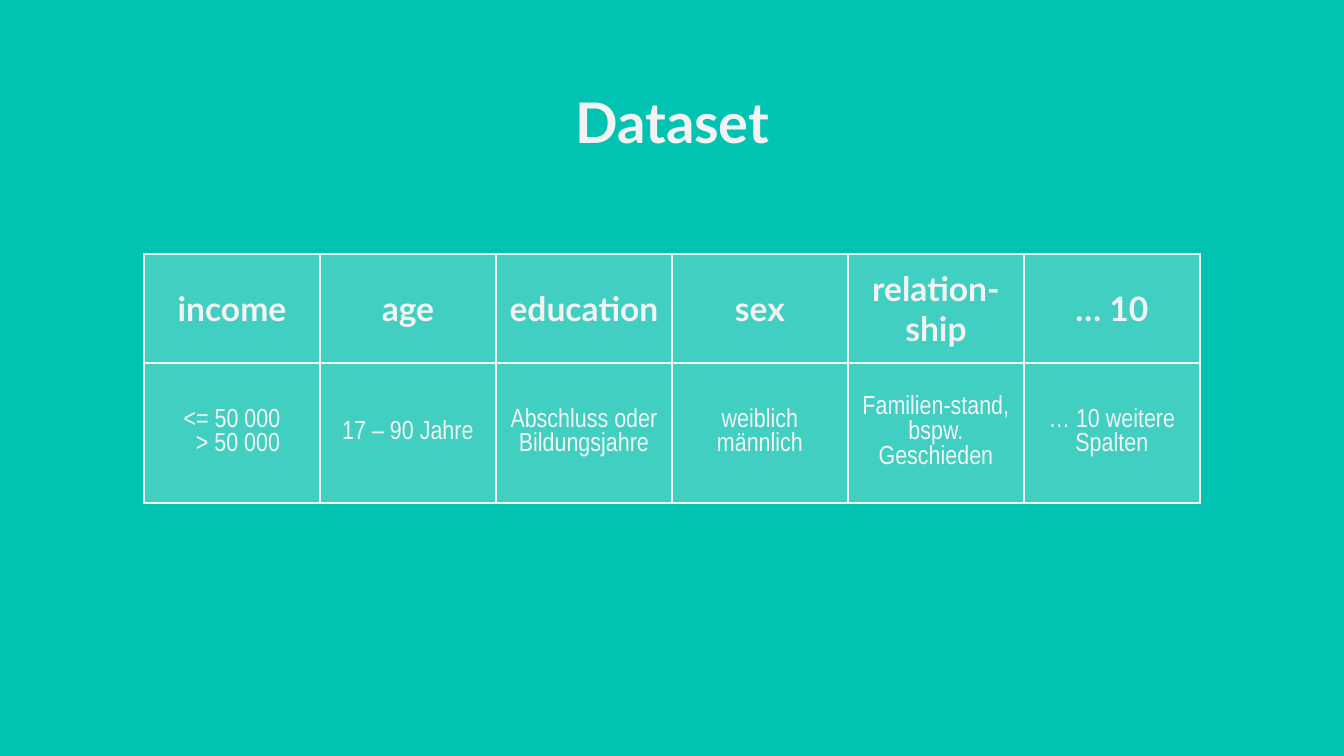
from lxml import etree
from pptx import Presentation
from pptx.dml.color import RGBColor
from pptx.enum.text import MSO_ANCHOR, PP_ALIGN
from pptx.oxml.ns import qn
from pptx.util import Inches, Pt

CENTER = PP_ALIGN.CENTER
TOP, MIDDLE = MSO_ANCHOR.TOP, MSO_ANCHOR.MIDDLE
SCALE = Inches(10) / 1344
THEME = {
    "bg": "00C3B1", "ink": "F3F3F3", "cell_alpha": 27, "border_pt": 1.5,
    "title": ("Lato", 30, True),
    "head": ("Lato", 18, True),
    "body": ("Arial Narrow", 14, False),
}
INK = RGBColor.from_string(THEME["ink"])
INSET = 13
INDENT = 12


def px(n):
    return round(n * SCALE)


def write(tf, lines, style):
    font, size, bold = THEME[style]
    for i, line in enumerate(lines):
        p = tf.paragraphs[0] if i == 0 else tf.add_paragraph()
        p.alignment = CENTER
        r = p.add_run()
        r.text = line
        r.font.name, r.font.size, r.font.bold = font, Pt(size), bold
        r.font.color.rgb = INK


prs = Presentation()
prs.slide_width, prs.slide_height = px(1344), px(756)
s = prs.slides.add_slide(prs.slide_layouts[6])
s.background.fill.solid()
s.background.fill.fore_color.rgb = RGBColor.from_string(THEME["bg"])

sp = s.shapes.add_textbox(px(106), px(75), px(1133), px(85))
tf = sp.text_frame
tf.word_wrap = True
tf.vertical_anchor = TOP
tf.margin_left = tf.margin_right = tf.margin_top = tf.margin_bottom = px(INSET)
write(tf, ["Dataset"], "title")

columns = [
    ("income", ["<= 50 000", "> 50 000"]),
    ("age", ["17 – 90 Jahre"]),
    ("education", ["Abschluss oder Bildungsjahre"]),
    ("sex", ["weiblich", "männlich"]),
    ("relation-ship", ["Familien-stand, bspw. Geschieden"]),
    ("… 10", ["… 10 weitere Spalten"]),
]
col_width, row_heights = 176, (109, 140)
table = s.shapes.add_table(
    2, len(columns), px(144), px(254),
    px(col_width * len(columns)), px(sum(row_heights))).table
table.first_row = table.horz_banding = False
for row, height in zip(table.rows, row_heights):
    row.height = px(height)

for c, (name, values) in enumerate(columns):
    table.columns[c].width = px(col_width)
    for i, (lines, style) in enumerate((([name], "head"), (values, "body"))):
        cell = table.cell(i, c)
        cell.vertical_anchor = MIDDLE
        cell.margin_left = cell.margin_right = px(INSET)
        cell.margin_top = cell.margin_bottom = px(INSET)
        write(cell.text_frame, lines, style)
        cell.fill.solid()
        cell.fill.fore_color.rgb = INK
        tcPr = cell._tc.get_or_add_tcPr()
        color = tcPr.find(".//" + qn("a:srgbClr"))
        etree.SubElement(color, qn("a:alpha"), val=str(THEME["cell_alpha"] * 1000))
        for n, side in enumerate(("a:lnL", "a:lnR", "a:lnT", "a:lnB")):
            ln = etree.Element(qn(side), w=str(Pt(THEME["border_pt"])))
            fill = etree.SubElement(ln, qn("a:solidFill"))
            etree.SubElement(fill, qn("a:srgbClr"), val=THEME["ink"])
            tcPr.insert(n, ln)

p = table.cell(1, 0).text_frame.paragraphs[1]
p._p.get_or_add_pPr().set("marL", str(px(INDENT)))

prs.save("out.pptx")
